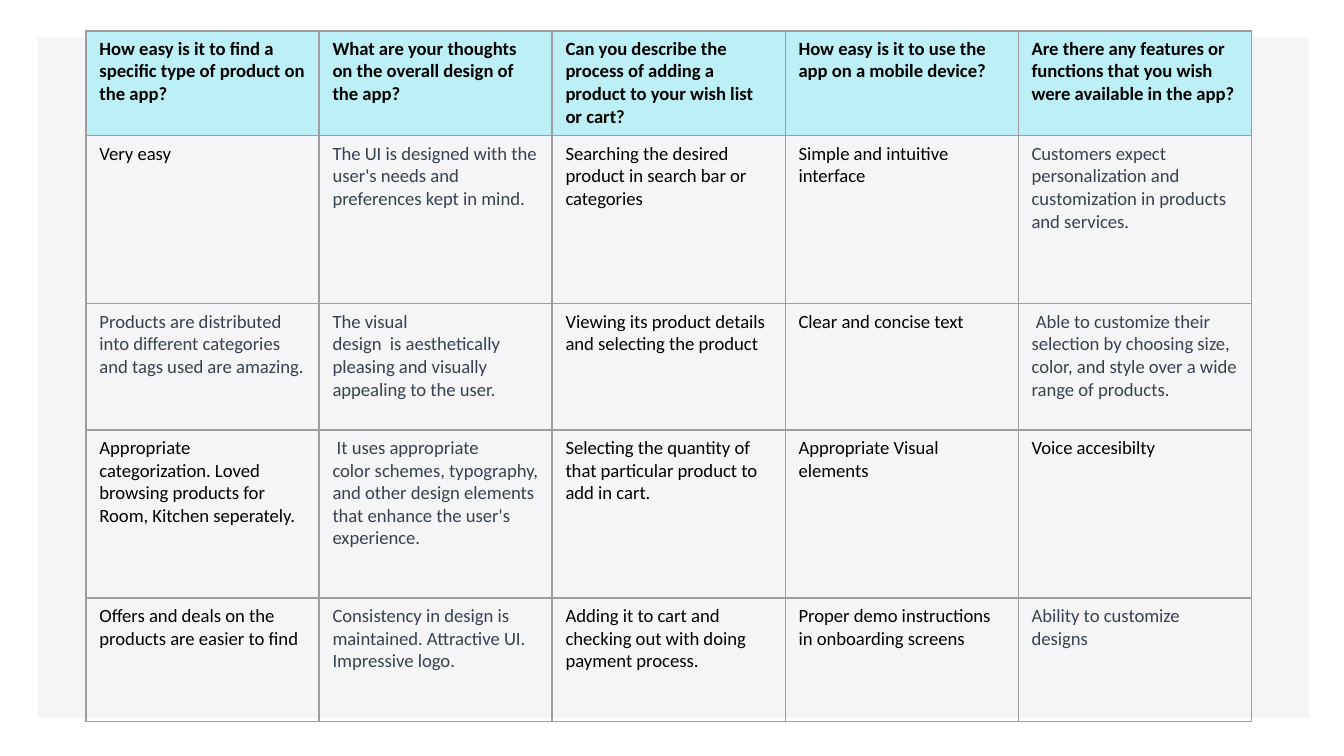
from dataclasses import dataclass

from lxml.etree import SubElement
from pptx import Presentation
from pptx.dml.color import RGBColor
from pptx.enum.shapes import MSO_SHAPE
from pptx.oxml.ns import qn
from pptx.util import Inches, Pt

# Content: one question per column, one participant answer per row.
# A tilde stands for a no-break space.
QUESTIONS = [
    "How easy is it to find a specific type of product on the app?",
    "What are your thoughts on the overall design of the app?",
    "Can you describe the process of adding a product to your wish list or cart?",
    "How easy is it to use the app on a mobile device?",
    "Are there any features or functions that you wish were available in the app?",
]
ANSWERS = [
    ["Very easy~",
     "The UI is~designed with the user's needs and preferences kept~in mind.",
     "Searching the desired product in search bar or categories",
     "Simple~and intuitive interface",
     "Customers expect personalization and customization in products and services."],
    ["Products are distributed into different categories and tags used are amazing.",
     "The visual design~~is~aesthetically pleasing and visually appealing to the user.",
     "Viewing its product details and selecting the product",
     "Clear and concise text",
     "~Able to customize their selection by choosing size, color, and style over a wide range of products."],
    ["Appropriate categorization. Loved browsing products for Room, Kitchen seperately.",
     "~It uses~appropriate color~schemes,~typography, and~other design~elements "
     "that~enhance the~user's experience.",
     "Selecting the quantity of that particular product to add in cart.",
     "Appropriate Visual elements",
     "Voice accesibilty"],
    ["Offers and deals on the products are easier to find",
     "Consistency in design is maintained. Attractive UI. Impressive logo.",
     "Adding it to cart and checking out with doing payment process.",
     "Proper demo instructions in onboarding screens",
     "Ability to customize designs~"],
]
# Answers set in the softer text colour, as (row, column) of the table
SOFT_ANSWERS = {(1, 1), (1, 4), (2, 0), (2, 1), (2, 4), (3, 1), (4, 1), (4, 4)}


@dataclass(frozen=True)
class Theme:
    font: str = "Calibri"
    size: int = 10
    text: str = "000000"
    soft_text: str = "374151"
    panel: str = "F5F5F7"
    header: str = "BDEFF7"
    border: str = "9E9E9E"
    border_width: float = 0.75


THEME = Theme()
SLIDE_WIDTH = 10
SLIDE_HEIGHT = SLIDE_WIDTH * 9 / 16
PANEL = (0.28, 0.28, 9.46, 5.06)
GRID_LEFT, GRID_TOP, GRID_WIDTH = 0.64, 0.23, 8.67
ROW_HEIGHTS = [0.78, 1.25, 0.94, 1.25, 0.92]
NO_BREAK_SPACE = chr(160)


def colour(value):
    return RGBColor.from_string(value)


def add_borders(cell):
    properties = cell._tc.get_or_add_tcPr()
    for position, side in enumerate(("lnL", "lnR", "lnT", "lnB")):
        line = SubElement(properties, qn(f"a:{side}"), w=str(Pt(THEME.border_width)))
        fill = SubElement(line, qn("a:solidFill"))
        SubElement(fill, qn("a:srgbClr"), val=THEME.border)
        properties.insert(position, line)


def fill_cell(cell, text, is_header, is_soft):
    cell.text = text.replace("~", NO_BREAK_SPACE)
    font = cell.text_frame.paragraphs[0].font
    font.name, font.size, font.bold = THEME.font, Pt(THEME.size), is_header
    font.color.rgb = colour(THEME.soft_text if is_soft else THEME.text)
    if is_header:
        cell.fill.solid()
        cell.fill.fore_color.rgb = colour(THEME.header)
    else:
        cell.fill.background()
    add_borders(cell)


def main():
    presentation = Presentation()
    presentation.slide_width = Inches(SLIDE_WIDTH)
    presentation.slide_height = Inches(SLIDE_HEIGHT)
    slide = presentation.slides.add_slide(presentation.slide_layouts[6])

    # Background panel
    panel = slide.shapes.add_shape(MSO_SHAPE.RECTANGLE, *map(Inches, PANEL))
    panel.shadow.inherit = False
    panel.fill.solid()
    panel.fill.fore_color.rgb = colour(THEME.panel)
    panel.line.fill.background()

    # Survey table with equal columns
    survey = [QUESTIONS] + ANSWERS
    table = slide.shapes.add_table(
        len(survey), len(QUESTIONS), Inches(GRID_LEFT), Inches(GRID_TOP),
        Inches(GRID_WIDTH), Inches(sum(ROW_HEIGHTS))).table
    table.first_row = table.horz_banding = False
    for row, height in zip(table.rows, ROW_HEIGHTS):
        row.height = Inches(height)
    for r, texts in enumerate(survey):
        for c, text in enumerate(texts):
            fill_cell(table.cell(r, c), text, r == 0, (r, c) in SOFT_ANSWERS)

    presentation.save("out.pptx")


if __name__ == "__main__":
    main()
